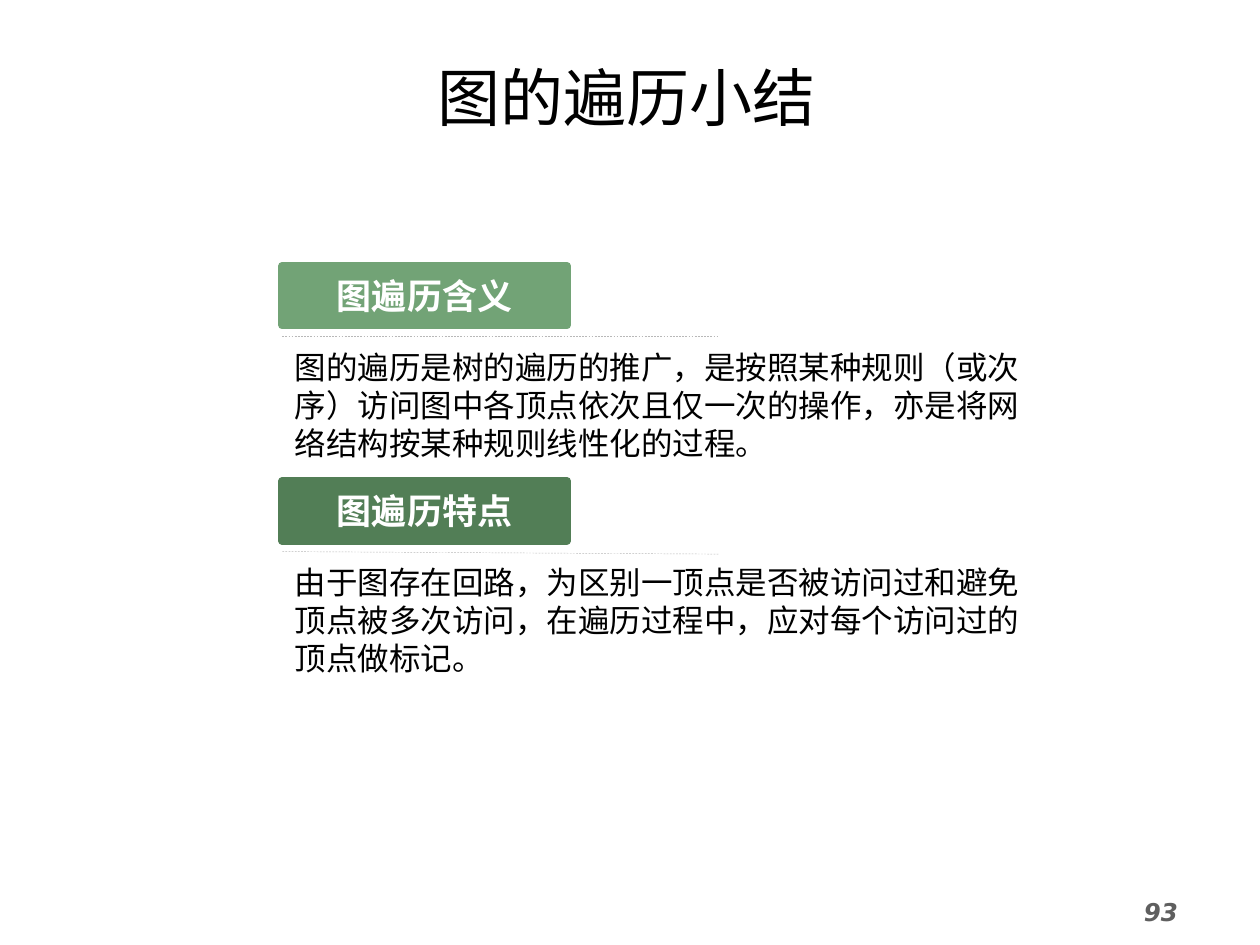
"""Builds the summary slide on graph traversal."""
from lxml import etree
from pptx import Presentation
from pptx.dml.color import RGBColor
from pptx.enum.dml import MSO_LINE
from pptx.enum.shapes import MSO_CONNECTOR, MSO_SHAPE
from pptx.enum.text import MSO_ANCHOR, PP_ALIGN
from pptx.oxml.ns import qn
from pptx.util import Cm, Pt

STRAIGHT = MSO_CONNECTOR.STRAIGHT
RECT = MSO_SHAPE.RECTANGLE
DASH = MSO_LINE.DASH
TOP, MIDDLE = MSO_ANCHOR.TOP, MSO_ANCHOR.MIDDLE
LEFT, CENTER = PP_ALIGN.LEFT, PP_ALIGN.CENTER

BLACK = RGBColor(0x00, 0x00, 0x00)
WHITE = RGBColor(0xFF, 0xFF, 0xFF)
GRAY = RGBColor(0x5F, 0x5F, 0x5F)
RULE = RGBColor(0xB8, 0xB8, 0xB8)
LIGHT_GREEN = RGBColor(0x72, 0xA3, 0x76)
DARK_GREEN = RGBColor(0x52, 0x7E, 0x56)

SECTIONS = [
    ("图遍历含义", LIGHT_GREEN, 0,
     "图的遍历是树的遍历的推广，是按照某种规则（或次序）访问图中各顶点依次且仅一次的操作，"
     "亦是将网络结构按某种规则线性化的过程。"),
    ("图遍历特点", DARK_GREEN, 0.05,
     "由于图存在回路，为区别一顶点是否被访问过和避免顶点被多次访问，在遍历过程中，"
     "应对每个访问过的顶点做标记。"),
]
SECTION_LEFT, SECTION_TOP, SECTION_PITCH = 5.69, 5.36, 4.34


def write(tf, text, size=18, font="Courier New", east="Noto Sans CJK SC", color=BLACK,
          bold=False, italic=False, align=LEFT, anchor=TOP, spacing=None):
    tf.word_wrap = True
    tf.vertical_anchor = anchor
    p = tf.paragraphs[0]
    p.alignment = align
    if spacing:
        p.line_spacing = Pt(spacing)
    r = p.add_run()
    r.text = text
    r.font.size = Pt(size)
    r.font.name = font
    r.font.bold = bold
    r.font.italic = italic
    r.font.color.rgb = color
    etree.SubElement(r.font._element, qn("a:ea")).set("typeface", east)


class Deck:
    def __init__(self):
        self.prs = Presentation()
        self.prs.slide_width, self.prs.slide_height = Cm(25.4), Cm(19.05)
        self.s = self.prs.slides.add_slide(self.prs.slide_layouts[6])

    def text(self, x, y, w, h, text, **fmt):
        sp = self.s.shapes.add_textbox(Cm(x), Cm(y), Cm(w), Cm(h))
        write(sp.text_frame, text, **fmt)

    def label(self, x, y, w, h, text, color):
        sp = self.s.shapes.add_shape(RECT, Cm(x), Cm(y), Cm(w), Cm(h))
        sp.shadow.inherit = False
        sp.fill.solid()
        sp.fill.fore_color.rgb = color
        sp.line.color.rgb = color
        sp.line.width = Pt(4.5)
        write(sp.text_frame, text, size=20, font="Noto Sans CJK SC", color=WHITE,
              bold=True, align=CENTER, anchor=MIDDLE)

    def rule(self, x1, y1, x2, y2):
        cxn = self.s.shapes.add_connector(STRAIGHT, Cm(x1), Cm(y1), Cm(x2), Cm(y2))
        cxn.line.color.rgb = RULE
        cxn.line.width = Pt(0.25)
        cxn.line.dash_style = DASH
        etree.SubElement(cxn._element.spPr, qn("a:effectLst"))

    def section(self, y, title, color, slope, body):
        x = SECTION_LEFT
        self.rule(x, y + 1.42, x + 8.81, y + 1.42 + slope)
        self.label(x, y, 5.74, 1.2, title, color)
        self.text(x, y + 1.53, 15.7, 2.69, body, spacing=21.7)


def main():
    deck = Deck()
    deck.text(0.51, 1.04, 24.23, 1.8, "图的遍历小结", size=36, font="Noto Sans CJK JP",
              east="Noto Sans CJK JP", align=CENTER, anchor=MIDDLE)
    deck.text(22.81, 17.96, 2.59, 1.09, "93", size=14, font="DejaVu Sans", color=GRAY,
              bold=True, italic=True)
    for i, section in enumerate(SECTIONS):
        deck.section(SECTION_TOP + i * SECTION_PITCH, *section)
    deck.prs.save("out.pptx")


if __name__ == "__main__":
    main()
